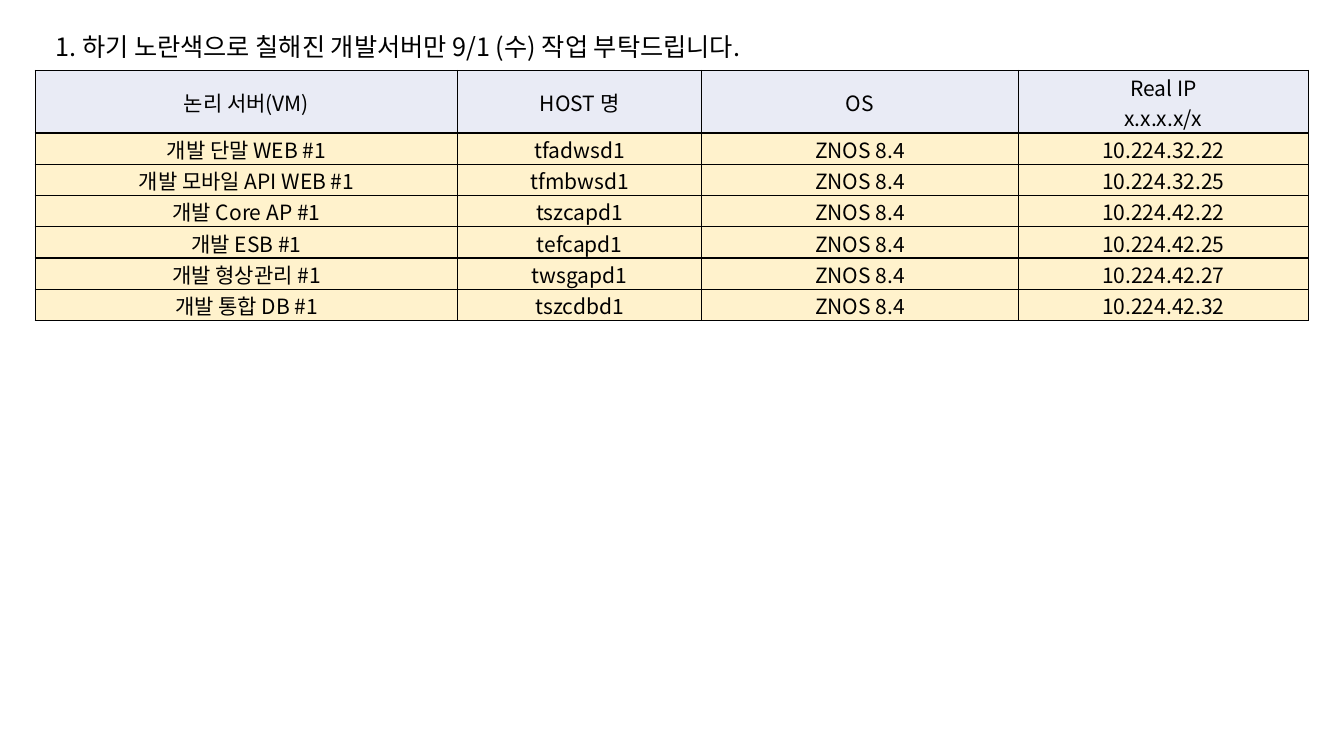
from copy import deepcopy

from lxml.etree import SubElement
from pptx import Presentation
from pptx.dml.color import RGBColor
from pptx.enum.text import MSO_ANCHOR, MSO_AUTO_SIZE, PP_ALIGN
from pptx.oxml import parse_xml
from pptx.oxml.ns import nsdecls, qn
from pptx.util import Inches, Pt

BLACK = RGBColor(0x00, 0x00, 0x00)
HEADER_BLUE = RGBColor(0xE9, 0xEB, 0xF5)
SERVER_YELLOW = RGBColor(0xFF, 0xF2, 0xCC)
FONT = "Noto Sans CJK KR"

TITLE = "1. 하기 노란색으로 칠해진 개발서버만 9/1 (수) 작업 부탁드립니다."
HEADERS = ("논리 서버(VM)", "HOST 명", "OS", "Real IP\vx.x.x.x/x")
SYSTEM = "ZNOS 8.4"
SERVERS = (
    ("개발 단말 WEB #1", "tfadwsd1", SYSTEM, "10.224.32.22"),
    ("개발 모바일 API WEB #1", "tfmbwsd1", SYSTEM, "10.224.32.25"),
    ("개발 Core AP #1", "tszcapd1", SYSTEM, "10.224.42.22"),
    ("개발 ESB #1", "tefcapd1", SYSTEM, "10.224.42.25"),
    ("개발 형상관리 #1", "twsgapd1", SYSTEM, "10.224.42.27"),
    ("개발 통합 DB #1", "tszcdbd1", SYSTEM, "10.224.42.32"),
)
COLUMN_WIDTHS = (4.19, 2.42, 3.14, 2.88)
LINE_HEIGHT = 0.31

CELL_FORMAT = {
    "vertical_anchor": MSO_ANCHOR.MIDDLE,
    "margin_left": Inches(0.01),
    "margin_right": Inches(0.01),
    "margin_top": Inches(0.01),
    "margin_bottom": Inches(0),
}
TITLE_FORMAT = {
    "word_wrap": True,
    "auto_size": MSO_AUTO_SIZE.SHAPE_TO_FIT_TEXT,
    "vertical_anchor": MSO_ANCHOR.TOP,
}


def apply_format(target, values):
    for name, value in values.items():
        setattr(target, name, value)


def write_text(text_frame, text, size, alignment):
    text_frame.text = text
    paragraph = text_frame.paragraphs[0]
    paragraph.alignment = alignment
    for run in paragraph.runs:
        apply_format(run.font, {"name": FONT, "size": Pt(size), "bold": False})
        run.font.color.rgb = BLACK
        properties = run.font._element
        SubElement(properties, qn("a:ea"), typeface=FONT)
    for line_break in paragraph._p.findall(qn("a:br")):
        line_break.append(deepcopy(properties))


def draw_borders(cell):
    properties = cell._tc.get_or_add_tcPr()
    for position, side in enumerate(("lnL", "lnR", "lnT", "lnB")):
        border = parse_xml(
            f'<a:{side} {nsdecls("a")} w="{Pt(1)}"><a:solidFill>'
            f'<a:srgbClr val="{BLACK}"/></a:solidFill></a:{side}>'
        )
        properties.insert(position, border)


def add_title(slide, left, top, width, height):
    title = slide.shapes.title
    box = {"left": left, "top": top, "width": width, "height": height}
    apply_format(title, {name: Inches(value) for name, value in box.items()})
    apply_format(title.text_frame, TITLE_FORMAT)
    write_text(title.text_frame, TITLE, 18, PP_ALIGN.LEFT)


def add_server_table(slide, left, top, width, height):
    rows = (HEADERS, *SERVERS)
    box = [Inches(value) for value in (left, top, width, height)]
    table = slide.shapes.add_table(len(rows), len(HEADERS), *box).table
    for column, column_width in zip(table.columns, COLUMN_WIDTHS):
        column.width = Inches(column_width)
    for row_index, texts in enumerate(rows):
        is_header = row_index == 0
        table.rows[row_index].height = Inches(LINE_HEIGHT * (2 if is_header else 1))
        for column_index, text in enumerate(texts):
            cell = table.cell(row_index, column_index)
            apply_format(cell, CELL_FORMAT)
            cell.fill.solid()
            cell.fill.fore_color.rgb = HEADER_BLUE if is_header else SERVER_YELLOW
            write_text(cell.text_frame, text, 15, PP_ALIGN.CENTER)
            draw_borders(cell)


def main():
    presentation = Presentation()
    presentation.slide_width = Inches(13.33)
    presentation.slide_height = Inches(7.5)
    slide = presentation.slides.add_slide(presentation.slide_layouts[5])
    add_server_table(slide, 0.35, 0.7, 12.63, 2.48)
    add_title(slide, 0.45, 0.26, 9.94, 0.4)
    presentation.save("out.pptx")


if __name__ == "__main__":
    main()
